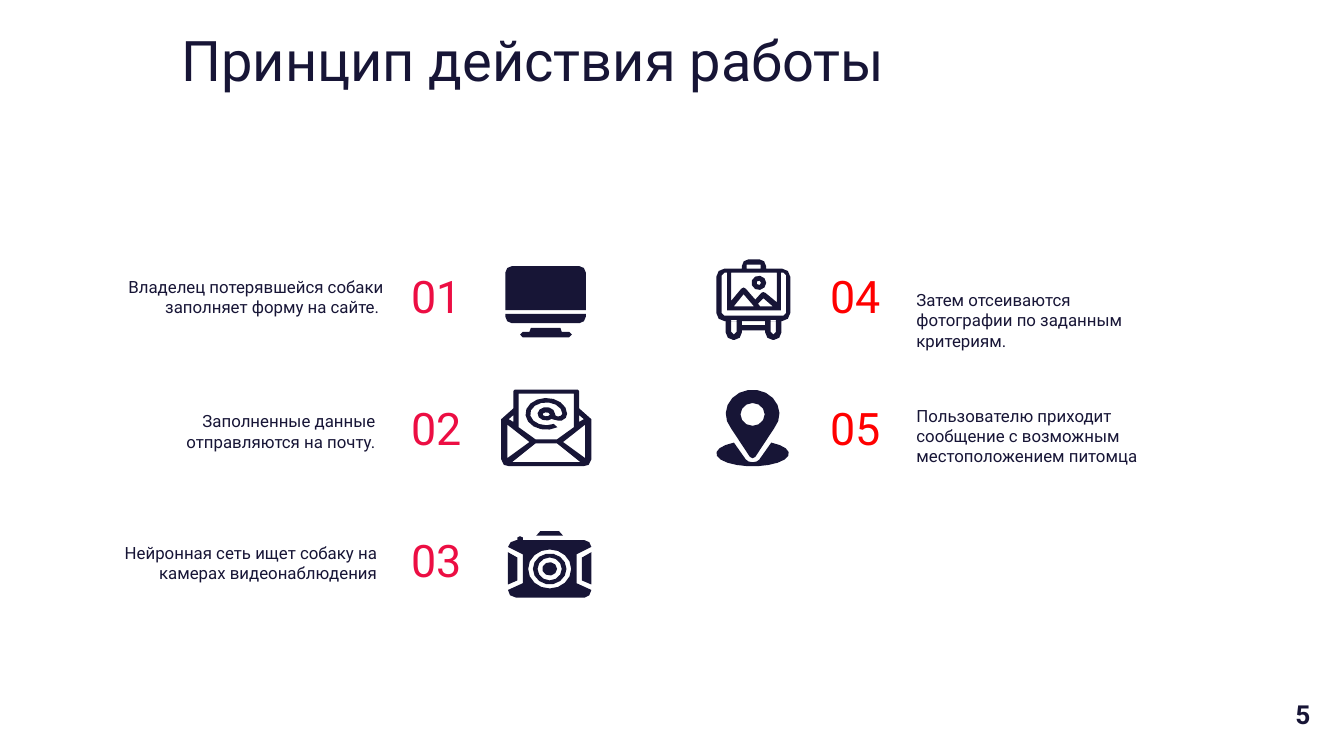
from dataclasses import dataclass
from math import cos, radians, sin, sqrt

from pptx import Presentation
from pptx.dml.color import RGBColor
from pptx.enum.text import MSO_ANCHOR, PP_ALIGN
from pptx.util import Cm, Pt

LEFT, RIGHT = PP_ALIGN.LEFT, PP_ALIGN.RIGHT
TOP, BOTTOM = MSO_ANCHOR.TOP, MSO_ANCHOR.BOTTOM

Point = tuple[float, float]
Ring = list[Point]


@dataclass(frozen=True)
class Theme:
    font: str = "Roboto"
    ink: RGBColor = RGBColor(0x17, 0x15, 0x36)
    pink: RGBColor = RGBColor(0xEC, 0x0E, 0x43)
    red: RGBColor = RGBColor(0xFF, 0x00, 0x00)
    title: int = 30
    number: int = 24
    page: int = 14
    body: int = 9


@dataclass(frozen=True)
class Style:
    size: int
    color: RGBColor
    align: PP_ALIGN = LEFT
    anchor: MSO_ANCHOR = TOP
    inset: float = 0.25
    bold: bool = False


@dataclass(frozen=True)
class Step:
    text: str
    left: float
    top: float
    icon: list[list[Ring]]


THEME = Theme()
UNIT = Cm(0.0254)  # icon grid


def arc(x: float, y: float, rx: float, ry: float, start: float = 0, end: float = 360) -> Ring:
    """Points along an ellipse, clockwise, with angles in degrees; larger ones get more."""
    if not rx:
        return [(x, y)]
    count = max(1, round(abs(end - start) / 90 * sqrt(rx)))
    turns = [radians(start + (end - start) * i / count) for i in range(count + 1)]
    return [(x + rx * cos(t), y + ry * sin(t)) for t in turns]


def oval(x: float, y: float, rx: float, ry: float) -> Ring:
    return arc(x, y, rx, ry)[:-1]


def box(left: float, top: float, right: float, foot: float, up: float = 0, down: float = 0) -> Ring:
    """A rectangle with one radius for its upper corners and one for its lower."""
    return (arc(left + up, top + up, up, up, 180, 270)
            + arc(right - up, top + up, up, up, 270, 360)
            + arc(right - down, foot - down, down, down, 0, 90)
            + arc(left + down, foot - down, down, down, 90, 180))


def flip(ring: Ring, axis: float) -> Ring:
    return [(2 * axis - x, y) for x, y in ring]


def screen() -> list[list[Ring]]:
    neck = [(395, 244), (417, 244), (418, 247), (394, 247)]
    return [
        [neck, box(387, 247, 425.5, 251, 2, 2)],
        [box(376, 233.6, 436, 240.6, 0, 5)],
        [box(376, 198, 436, 230.7, 5, 0)],
    ]


def mail() -> list[list[Ring]]:
    mid = 406.5
    shell = [(373, 312), (382, 304), (382, 291), (383, 290), (430, 290), (431, 291),
             (431, 304), (440, 312), (440, 342), (438, 346), (434, 347), (379, 347),
             (375, 346), (373, 342)]
    sheet = [(386, 293), (427, 293), (427, 318), (414.5, 327), (398.5, 327), (386, 318)]
    flap = [(414.5, 330), (432, 344), (381, 344), (398.5, 330)]
    fold = [(382, 309), (382, 314), (378.5, 312)]
    side = [(377.5, 316), (394, 329), (377.5, 341)]
    pairs = [r for half in (fold, side) for r in (half, flip(half, mid))]
    sign = (arc(mid, 308, 15.5, 11.8, 58, 360)
            + [(421, 311), (418, 313), (415, 313), (411, 312)]
            + arc(mid, 308, 6.5, 5, 45, 360)
            + [(413.4, 309.3), (415, 310), (417, 309.6)]
            + arc(mid, 308, 12, 8.5, 360, 62))
    return [[shell, sheet, flap, *pairs], [sign, oval(mid, 308.4, 2.7, 1.5)]]


def camera() -> list[list[Ring]]:
    x, y = 409, 423.4
    grip = [(378, 411), (385, 415), (385, 432), (378, 435)]
    notch = [(378, 439), (389, 434), (389, 412.5), (378, 407)]
    body = (notch + [(380, 403.5), (384, 402), (385, 402), (385, 400), (387, 399),
                     (389, 400), (389, 402), (435, 402), (438.5, 403.5)]
            + flip(notch, x)[::-1]
            + [(438.5, 443), (435, 444.7), (384, 444.7), (379.5, 443)])
    cap = [(402, 395.3), (416, 395.3), (419, 398.7), (399, 398.7)]
    return [
        [grip], [flip(grip, x)], [cap],
        [body, oval(x, y, 16, 14.5)],
        [oval(x, y, 12.5, 11.5), oval(x, y, 9, 8.5)],
        [oval(x, y, 5.5, 5)],
    ]


def easel() -> list[list[Ring]]:
    mid = 560.7
    leg, slot = box(540, 239, 552, 253, 0, 5.5), box(544, 238, 548, 249, 0, 2)
    sky = [(544, 203), (578, 203), (578, 225), (569.5, 218), (568, 217.4),
           (566.5, 218), (562, 223), (555, 215), (553.3, 214), (551.5, 215), (544, 224)]
    hill = [(553.3, 219), (561, 228), (546, 228)]
    peak = [(568, 222), (575, 228), (565.5, 228), (564, 226)]
    return [
        [box(533, 200, 588, 239, 6, 6), box(537, 203, 585, 235, 2, 2),
         box(541, 203, 581, 231), sky, hill, peak,
         box(552, 193, 570, 200, 5), box(555.5, 197, 566, 200),
         leg, slot, flip(leg, mid), flip(slot, mid), box(552, 242, 569.4, 246)],
        [oval(564.6, 210.5, 5.5, 5.3), oval(564.6, 210.5, 1.7, 1.7)],
    ]


def pin() -> list[list[Ring]]:
    x = 560
    drop = arc(x, 308, 20, 18, 143, 397) + [(562, 340), (x, 341), (558, 340)]
    ground = (arc(x, 337.5, 27, 9.5, -59, 239)
              + [(555, 342), (557, 343.5), (x, 344), (563, 343.5), (565, 342)])
    return [[drop, oval(x, 308.4, 9, 8.5)], [ground]]


def draw(slide, icon: list[list[Ring]]) -> None:
    group = slide.shapes.add_group_shape()
    for piece in icon:
        rings = [[(x * UNIT, y * UNIT) for x, y in ring] for ring in piece]
        pen = group.shapes.build_freeform(*rings[0][0])
        for ring in rings:
            if ring is not rings[0]:
                pen.move_to(*ring[0])
            pen.add_line_segments(ring[1:], close=True)
        shape = pen.convert_to_shape()
        shape.shadow.inherit = False
        shape.fill.solid()
        shape.fill.fore_color.rgb = THEME.ink
        shape.line.fill.background()


def write(slide, text: str, left: float, top: float, width: float, height: float, style: Style):
    frame = slide.shapes.add_textbox(Cm(left), Cm(top), Cm(width), Cm(height)).text_frame
    frame.word_wrap = True
    frame.vertical_anchor = style.anchor
    frame.margin_left = frame.margin_right = Cm(style.inset)
    frame.margin_top = frame.margin_bottom = Cm(style.inset)
    line = frame.paragraphs[0]
    line.alignment = style.align
    run = line.add_run()
    run.text = text
    run.font.name = THEME.font
    run.font.size = Pt(style.size)
    run.font.bold = style.bold
    run.font.color.rgb = style.color


def main() -> None:
    deck = Presentation()
    deck.slide_width, deck.slide_height = Cm(25.4), Cm(14.29)
    slide = deck.slides.add_slide(deck.slide_layouts[6])

    write(slide, "Принцип действия работы", 3.18, 0.33, 18.82, 1.68,
          Style(THEME.title, THEME.ink, anchor=BOTTOM))

    steps = [
        Step("Владелец потерявшейся собаки заполняет форму на сайте. ", 1.9, 4.98, screen()),
        Step("Заполненные данные отправляются на почту.", 1.75, 7.52, mail()),
        Step("Нейронная сеть ищет собаку на камерах видеонаблюдения", 1.78, 10.01, camera()),
        Step("Затем отсеиваются фотографии по заданным критериям.", 17.07, 5.23, easel()),
        Step("Пользователю приходит сообщение с возможным местоположением питомца",
             17.07, 7.42, pin()),
    ]
    for i, step in enumerate(steps):
        side, row = divmod(i, 3)
        left, width = ((7.52, 5.59), (13.61, 5.26))[side]
        color = (THEME.pink, THEME.red)[side]
        write(slide, f"{i + 1:02}", left, 4.67 + 2.49 * row, 3.28, 1.68,
              Style(THEME.number, color, (LEFT, RIGHT)[side], BOTTOM))
        write(slide, step.text, step.left, step.top, width, 1.4,
              Style(THEME.body, THEME.ink, (RIGHT, LEFT)[side]))
        draw(slide, step.icon)

    write(slide, "5", 24.48, 13.21, 0.74, 0.61,
          Style(THEME.page, THEME.ink, inset=0, bold=True))
    deck.save("out.pptx")


if __name__ == "__main__":
    main()
